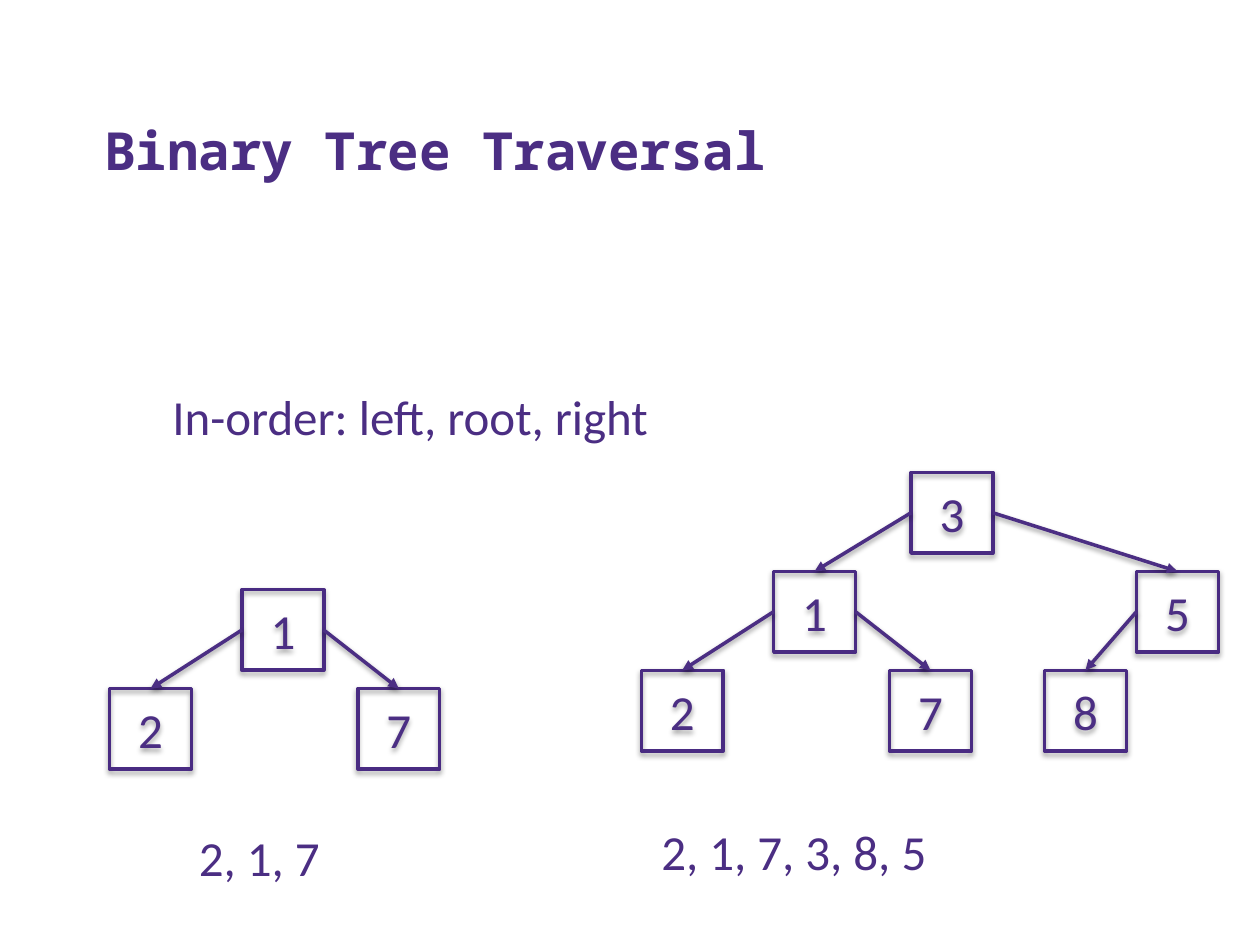
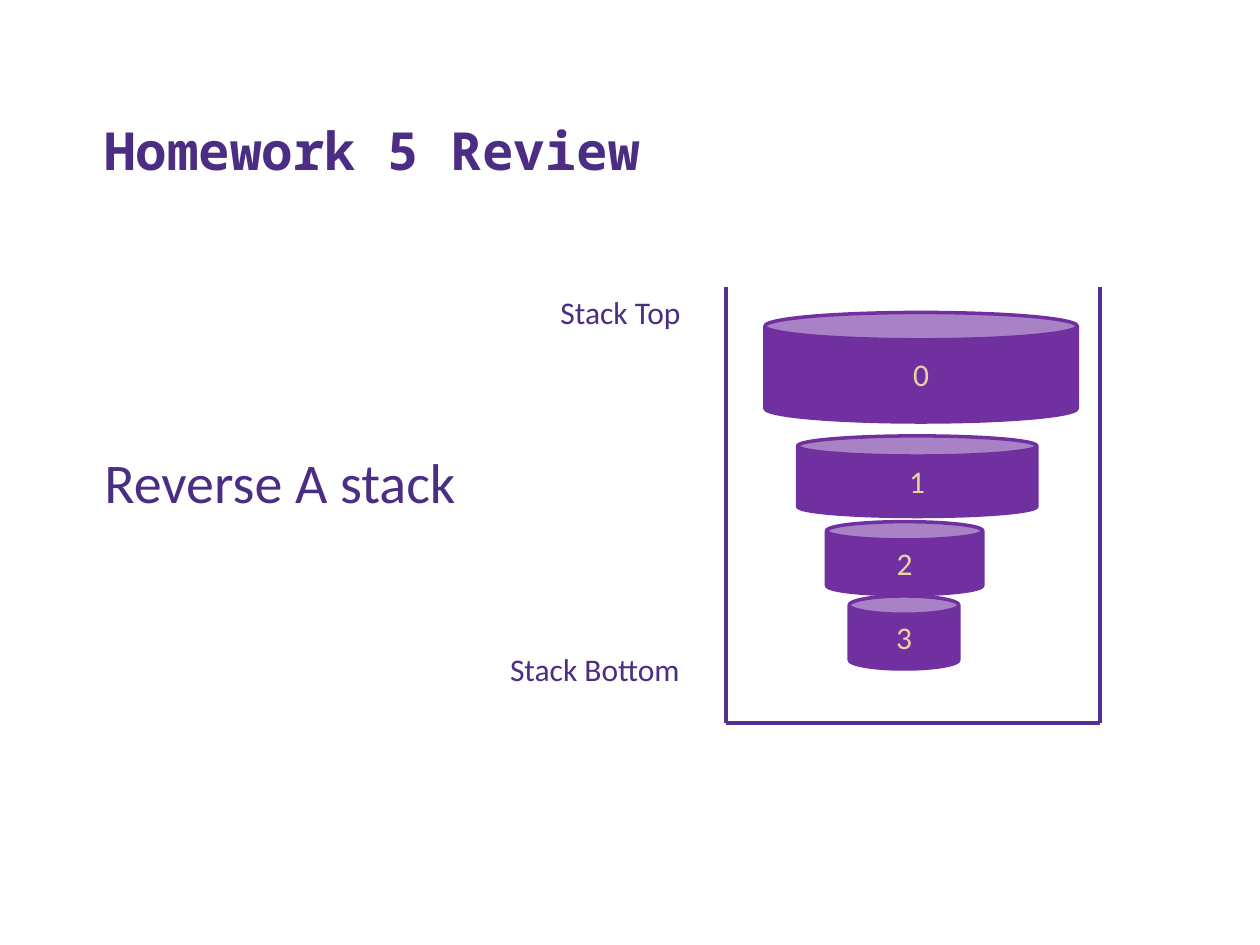
from lxml.etree import SubElement
from pptx import Presentation
from pptx.dml.color import RGBColor
from pptx.enum.shapes import MSO_CONNECTOR, MSO_SHAPE
from pptx.enum.text import MSO_ANCHOR, MSO_AUTO_SIZE, PP_ALIGN
from pptx.oxml.ns import qn
from pptx.util import Inches, Pt

COLORS = {
    "text": "4B2E83",
    "box": "492B82",
    "can": "7030A0",
    "can_text": "E8D3A2",
    "frame": "52328F",
    "shadow": "000000",
}
COLORS = {name: RGBColor.from_string(value) for name, value in COLORS.items()}

prs = Presentation()
prs.slide_width, prs.slide_height = Inches(10), Inches(7.5)
COL, ROW = prs.slide_width // 100, prs.slide_height // 75


def write(sp, text, size, color="text", font="Calibri", bold=False):
    tf = sp.text_frame
    tf.text = text
    p = tf.paragraphs[0]
    p.font.size, p.font.name, p.font.bold = Pt(size), font, bold
    p.font.color.rgb = COLORS[color]
    return tf


def set_effects(sp, alpha=0, distance=0):
    """Give a drop shadow of alpha percent and distance points; none at alpha 0."""
    effects = SubElement(sp._element.spPr, qn("a:effectLst"))
    if alpha:
        shadow = SubElement(effects, qn("a:outerShdw"), blurRad=str(Pt(3.1)),
                            dist=str(Pt(distance)), dir="5400000", rotWithShape="0")
        color = SubElement(shadow, qn("a:srgbClr"), val=str(COLORS["shadow"]))
        SubElement(color, qn("a:alpha"), val=str(alpha * 1000))


# Titles and labels: (text, size, column, row, columns, rows)
pages = [
    ("Binary Tree Traversal", [
        ("In-order: left, root, right", 28, 12.7, 30.2, 40.3, 5.7),
        ("2, 1, 7", 28, 14.8, 65.2, 11.8, 5.7),
        ("2, 1, 7, 3, 8, 5", 28, 51.5, 64.7, 23.4, 5.7),
    ]),
    ("Homework 5 Review", [
        ("Reverse A stack", 32, 7.3, 35, 30.1, 6.4),
        ("Stack Top", 18, 43.5, 22.8, 11.7, 4),
        ("Stack Bottom", 18, 39.5, 51.1, 15.7, 4),
    ]),
]
slides = []
for title, labels in pages:
    s = prs.slides.add_slide(prs.slide_layouts[6])
    slides.append(s)
    sp = s.shapes.add_textbox(7.3 * COL, 4.1 * ROW, 89.5 * COL, 10.8 * ROW)
    tf = write(sp, title, 30, font="Noto Sans Mono", bold=True)
    tf.word_wrap, tf.vertical_anchor = True, MSO_ANCHOR.BOTTOM
    for text, size, x, y, w, h in labels:
        sp = s.shapes.add_textbox(x * COL, y * ROW, w * COL, h * ROW)
        tf = write(sp, text, size)
        tf.word_wrap, tf.auto_size = False, MSO_AUTO_SIZE.SHAPE_TO_FIT_TEXT

tree_slide, stack_slide = slides

# Trees: left edge of the root, its top, then nodes as
# (value, column offset from the root, level, parent index, parent side)
LEFT, RIGHT, TOP = 1, 3, 0
LEVEL = 7.85
trees = [
    (72.3, 37.5, [("3", 0, 0, None, None), ("1", -10.9, 1, 0, LEFT),
                  ("5", 17.9, 1, 0, RIGHT), ("8", 10.6, 2, 2, LEFT),
                  ("2", -21.4, 2, 1, LEFT), ("7", -1.7, 2, 1, RIGHT)]),
    (19.2, 46.8, [("1", 0, 0, None, None), ("2", -10.5, 1, 0, LEFT),
                  ("7", 9.2, 1, 0, RIGHT)]),
]
for root_x, root_y, nodes in trees:
    boxes = []
    for value, offset, level, parent, side in nodes:
        box = tree_slide.shapes.add_shape(
            MSO_SHAPE.RECTANGLE, int((root_x + offset) * COL),
            int((root_y + level * LEVEL) * ROW), int(6.5 * COL), int(6.4 * ROW))
        box.fill.background()
        box.line.color.rgb, box.line.width = COLORS["box"], Pt(2)
        set_effects(box, 35, 1.8)
        tf = write(box, value, 28)
        tf.vertical_anchor = MSO_ANCHOR.MIDDLE
        tf.paragraphs[0].alignment = PP_ALIGN.CENTER
        boxes.append(box)
        if parent is None:
            continue
        arrow = tree_slide.shapes.add_connector(MSO_CONNECTOR.STRAIGHT, 0, 0, 0, 0)
        arrow.begin_connect(boxes[parent], side)
        arrow.end_connect(box, TOP)
        arrow.line.color.rgb, arrow.line.width = COLORS["text"], Pt(2)
        SubElement(arrow._element.spPr.find(qn("a:ln")), qn("a:tailEnd"), type="triangle")
        set_effects(arrow, 38, 1.6)

# Stack: discs from top to bottom, inside an open frame
discs = [(60.7, 24.8, 24.8, 8.7), (63.3, 34.6, 19, 6.4),
         (65.6, 41.4, 12.4, 5.8), (67.4, 47.3, 8.7, 5.8)]
for number, (x, y, w, h) in enumerate(discs):
    can = stack_slide.shapes.add_shape(MSO_SHAPE.CAN, x * COL, y * ROW, w * COL, h * ROW)
    can.shadow.inherit = False
    can.fill.solid()
    can.fill.fore_color.rgb = can.line.color.rgb = COLORS["can"]
    can.line.width = Pt(2)
    tf = write(can, str(number), 18, "can_text")
    tf.vertical_anchor = MSO_ANCHOR.MIDDLE
    tf.paragraphs[0].alignment = PP_ALIGN.CENTER

left, right, top, bottom = 57.6, 87.3, 22.8, 57.4
corners = [(left, top), (left, bottom), (right, bottom), (right, top)]
for (x1, y1), (x2, y2) in zip(corners, corners[1:]):
    edge = stack_slide.shapes.add_connector(
        MSO_CONNECTOR.STRAIGHT, int(x1 * COL), int(y1 * ROW), int(x2 * COL), int(y2 * ROW))
    edge.line.color.rgb, edge.line.width = COLORS["frame"], Pt(2.5)
    set_effects(edge)

prs.save("out.pptx")
